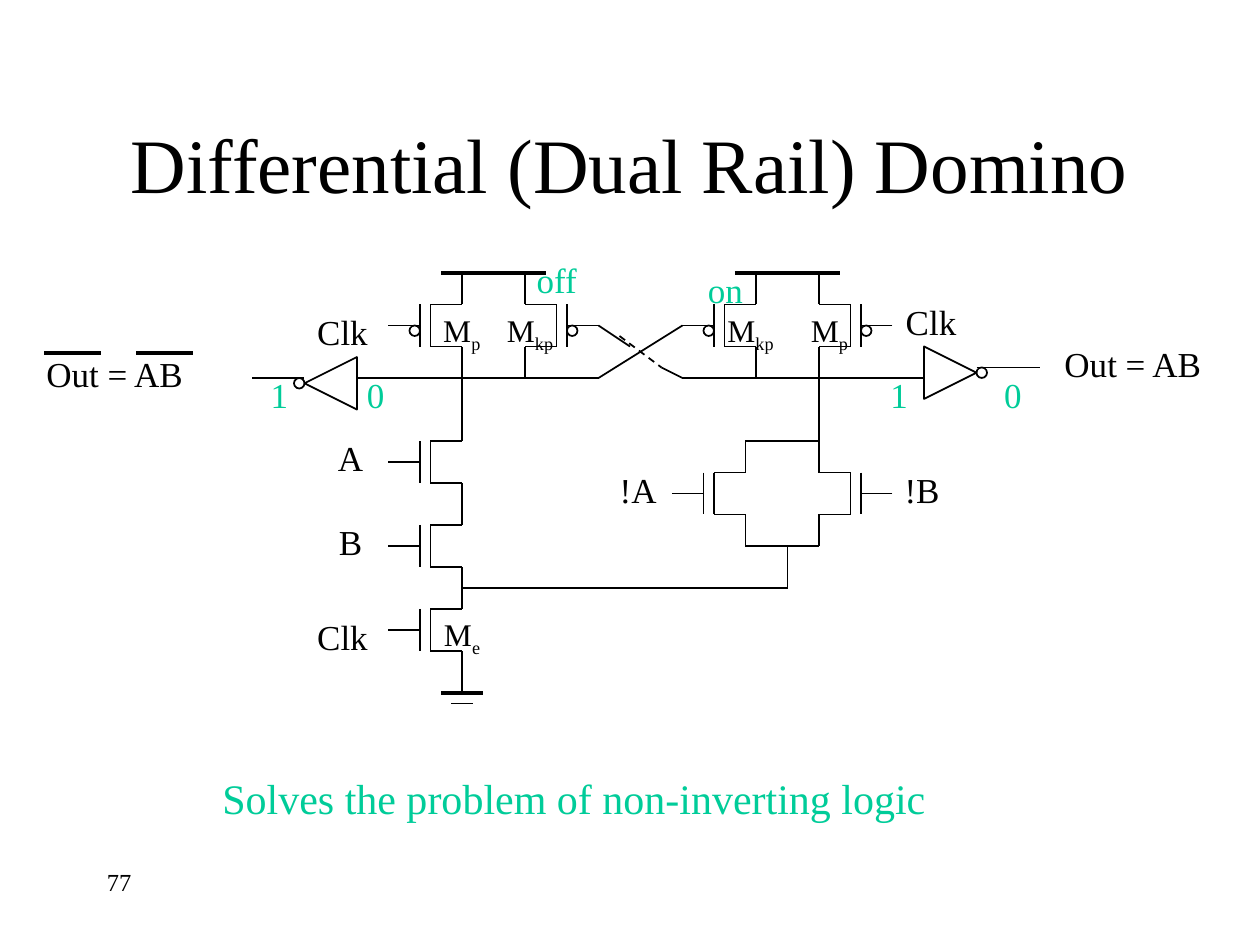
from dataclasses import dataclass

from lxml import etree
from pptx import Presentation
from pptx import util as u
from pptx.dml.color import RGBColor
from pptx.enum import dml, shapes, text
from pptx.oxml.ns import qn


@dataclass(frozen=True)
class Theme:
    font: str = "Times New Roman"
    ink: RGBColor = RGBColor(0x00, 0x00, 0x00)
    accent: RGBColor = RGBColor(0x00, 0xCC, 0x99)
    title: int = 44
    note: int = 24
    signal: int = 20
    device: int = 18
    page: int = 14
    thin: float = 1
    thick: float = 2.25


theme = Theme()
GRID = 6  # the schematic sits on a 6 pt grid
LABEL_HEIGHT = 31.7

deck = Presentation()
deck.slide_width, deck.slide_height = u.Pt(720), u.Pt(540)
slide = deck.slides.add_slide(deck.slide_layouts[5])


def wire(parent, x1, y1, x2, y2, weight=theme.thin):
    line = parent.shapes.add_connector(
        shapes.MSO_CONNECTOR.STRAIGHT, *map(u.Pt, (x1, y1, x2, y2)))
    line.line.width = u.Pt(weight)
    line.line.color.rgb = theme.ink
    etree.SubElement(line._element.spPr, qn("a:effectLst"))
    return line


def label(words, x, y, width, size, color=theme.ink, height=LABEL_HEIGHT,
          subscript="", wrap=False, fit=text.MSO_AUTO_SIZE.SHAPE_TO_FIT_TEXT,
          right=7.2):
    frame = slide.shapes.add_textbox(*map(u.Pt, (x, y, width, height))).text_frame
    frame.word_wrap, frame.auto_size = wrap, fit
    frame.margin_right = u.Pt(right)
    paragraph = frame.paragraphs[0]
    for part in filter(None, (words, subscript)):
        run = paragraph.add_run()
        run.text = part
        for name, value in {"name": theme.font, "size": u.Pt(size)}.items():
            setattr(run.font, name, value)
        run.font.color.rgb = color
        if part == subscript:
            run.font._element.set("baseline", "-25000")
    return paragraph


# Title
title = slide.shapes.title
place = {"left": 54, "top": 48, "width": 612, "height": 90}
for name, value in place.items():
    setattr(title, name, u.Pt(value))
title.text_frame.text = "Differential (Dual Rail) Domino"
title.text_frame.vertical_anchor = text.MSO_ANCHOR.MIDDLE
heading = title.text_frame.paragraphs[0]
heading.alignment = text.PP_ALIGN.CENTER
for name, value in {"name": theme.font, "size": u.Pt(theme.title)}.items():
    setattr(heading.font, name, value)
heading.font.color.rgb = theme.ink

# Transistors: drain x, channel top, gate side (1 left, -1 right), gate bubble
outlines = []
for x, top, side, bubble in [
    (264, 348, 1, False), (264, 300, 1, False), (264, 252, 1, False),
    (426, 270, 1, False), (468, 270, -1, False),
    (264, 174, 1, True), (300, 174, -1, True),
    (432, 174, 1, True), (468, 174, -1, True),
]:
    transistor = slide.shapes.add_group_shape()
    channel, gate, lead = (x - side * GRID * n for n in (3, 4, 7))
    bottom, middle = top + 4 * GRID, top + 2 * GRID
    for ends in [
        (channel, top, x, top), (channel, top, channel, bottom),
        (channel, bottom, x, bottom), (gate, top, gate, bottom),
        (x, bottom, x, bottom + 3 * GRID), (lead, middle, gate, middle),
        (x, top - 3 * GRID, x, top),
    ]:
        wire(transistor, *ends)
    if bubble:
        left = min(gate, gate - side * GRID)
        outlines.append((transistor, "OVAL", left, middle, GRID, 0))

# Output inverters: triangle corner, bubble corner, rotation
for x, y, bubble_x, bubble_y, turn in [(528, 198, 558, 210, 90),
                                       (174, 204, 168, 216, 270)]:
    inverter = slide.shapes.add_group_shape()
    outlines += [(inverter, "ISOSCELES_TRIANGLE", x, y, 5 * GRID, turn),
                 (inverter, "OVAL", bubble_x, bubble_y, GRID, turn)]

for parent, kind, x, y, size, turn in outlines:
    outline = parent.shapes.add_shape(
        shapes.MSO_SHAPE[kind], *map(u.Pt, (x, y, size, size)))
    outline.rotation = turn
    outline.shadow.inherit = False
    outline.fill.background()
    outline.line.width = u.Pt(theme.thin)
    outline.line.color.rgb = theme.ink

# Ground
ground = slide.shapes.add_group_shape()
wire(ground, 252, 396, 276, 396, theme.thick)
wire(ground, 258, 402, 270, 402)
wire(ground, 264, 378, 264, 396)

# Supply rails, then the overbars of the complemented output
for x1, x2, y in [(252, 312, 156), (420, 480, 156),
                  (25.2, 57.6, 201.6), (77.8, 110.2, 201.6)]:
    wire(slide, x1, y, x2, y, theme.thick)

# Wiring between the devices
for ends in [
    (204, 216, 342, 216), (390, 216, 528, 216),   # dynamic nodes
    (144, 216, 174, 216), (558, 210, 594, 210),   # outputs
    (264, 210, 264, 240), (468, 210, 468, 258),   # down to the logic
    (426, 252, 468, 252), (426, 312, 468, 312),   # parallel pair
    (264, 336, 450, 336), (450, 312, 450, 336),   # shared foot
    (390, 186, 342, 216), (342, 186, 360, 198), (378, 210, 390, 216),
]:
    wire(slide, *ends)
crossover = wire(slide, 354, 192, 378, 210)
crossover.line.dash_style = dml.MSO_LINE.DASH

# Signal names
for words, x, y, width in [
    ("A", 186, 246, 28.8), ("B", 186.5, 294, 27.4),
    ("Clk", 174.2, 348, 43.2), ("Clk", 174.2, 174, 43.2),
    ("Clk", 510.5, 168, 43.2), ("!A", 347, 264, 35.3),
    ("!B", 509.8, 264, 34.6), ("Out = AB", 19.4, 198, 93.6),
    ("Out = AB", 601.2, 192, 93.6),
]:
    label(words, x, y, width, theme.signal)

# Device names, with no right margin so each subscript stays beside its letter
for subscript, x, y, width in [
    ("e", 246.6, 348, 34.6), ("p", 246.2, 174, 35.3), ("kp", 282.6, 174, 40.3),
    ("kp", 408.6, 174, 40.3), ("p", 456.2, 174, 35.3),
]:
    label("M", x, y, width, theme.device, subscript=subscript, wrap=True,
          fit=text.MSO_AUTO_SIZE.NONE, right=0)

# Logic states
for words, x, y, width in [("on", 397.4, 150, 34.6), ("off", 299.5, 144, 37.4)]:
    label(words, x, y, width, theme.signal, theme.accent)
for x, width, gap in [(147.6, 79.2, 55), (501.8, 89.3, 65)]:
    levels = label("1\t0", x, 210, width, theme.signal, theme.accent,
                   wrap=True, fit=text.MSO_AUTO_SIZE.NONE)
    stops = etree.SubElement(levels._p.get_or_add_pPr(), qn("a:tabLst"))
    etree.SubElement(stops, qn("a:tab"), pos=str(u.Pt(gap)), algn="l")

# Conclusion and page number
label("Solves the problem of non-inverting logic", 120, 438, 522, theme.note,
      theme.accent, height=36, wrap=True)
label("77", 54, 492, 150, theme.page, height=36, wrap=True,
      fit=text.MSO_AUTO_SIZE.NONE)

deck.save("out.pptx")
